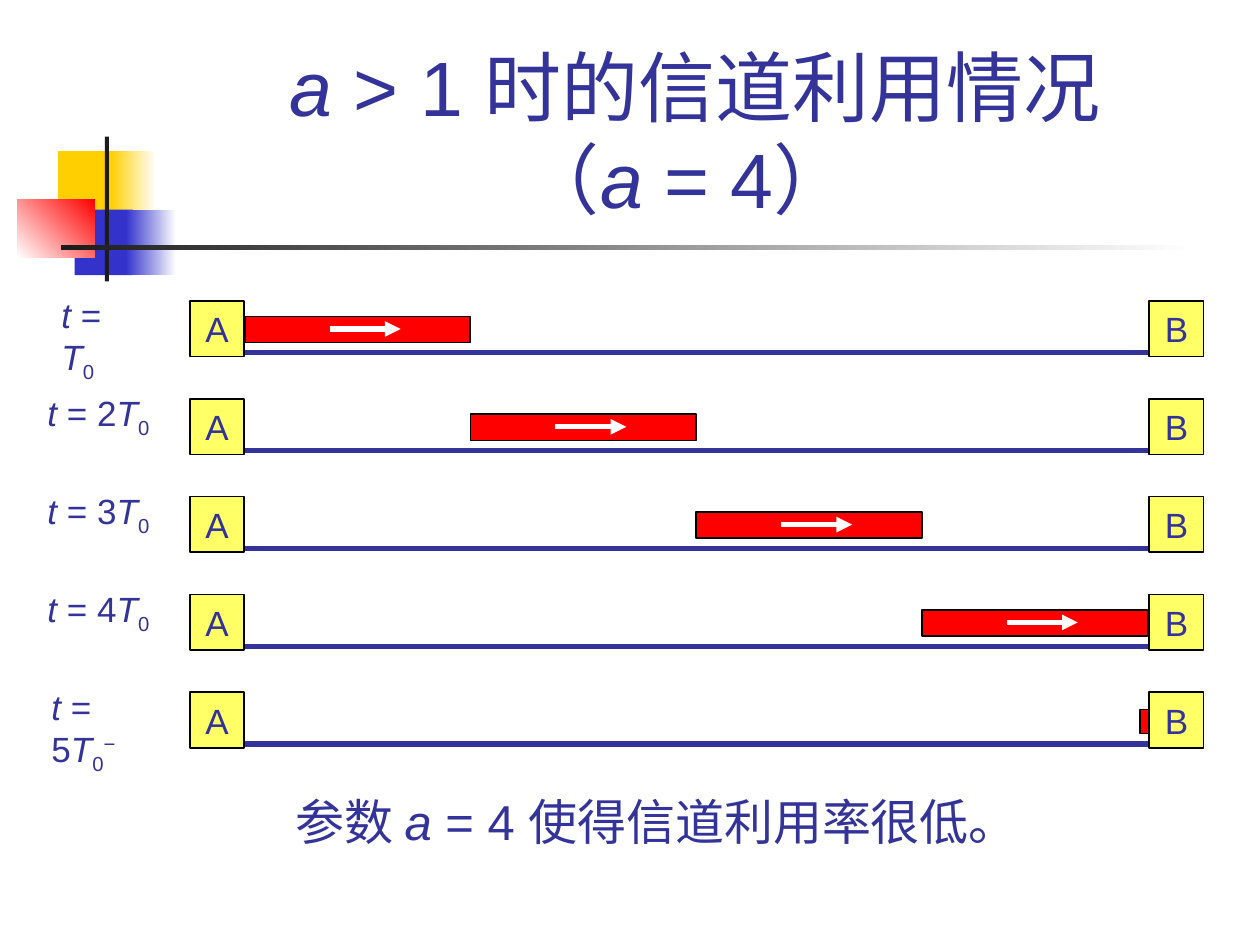
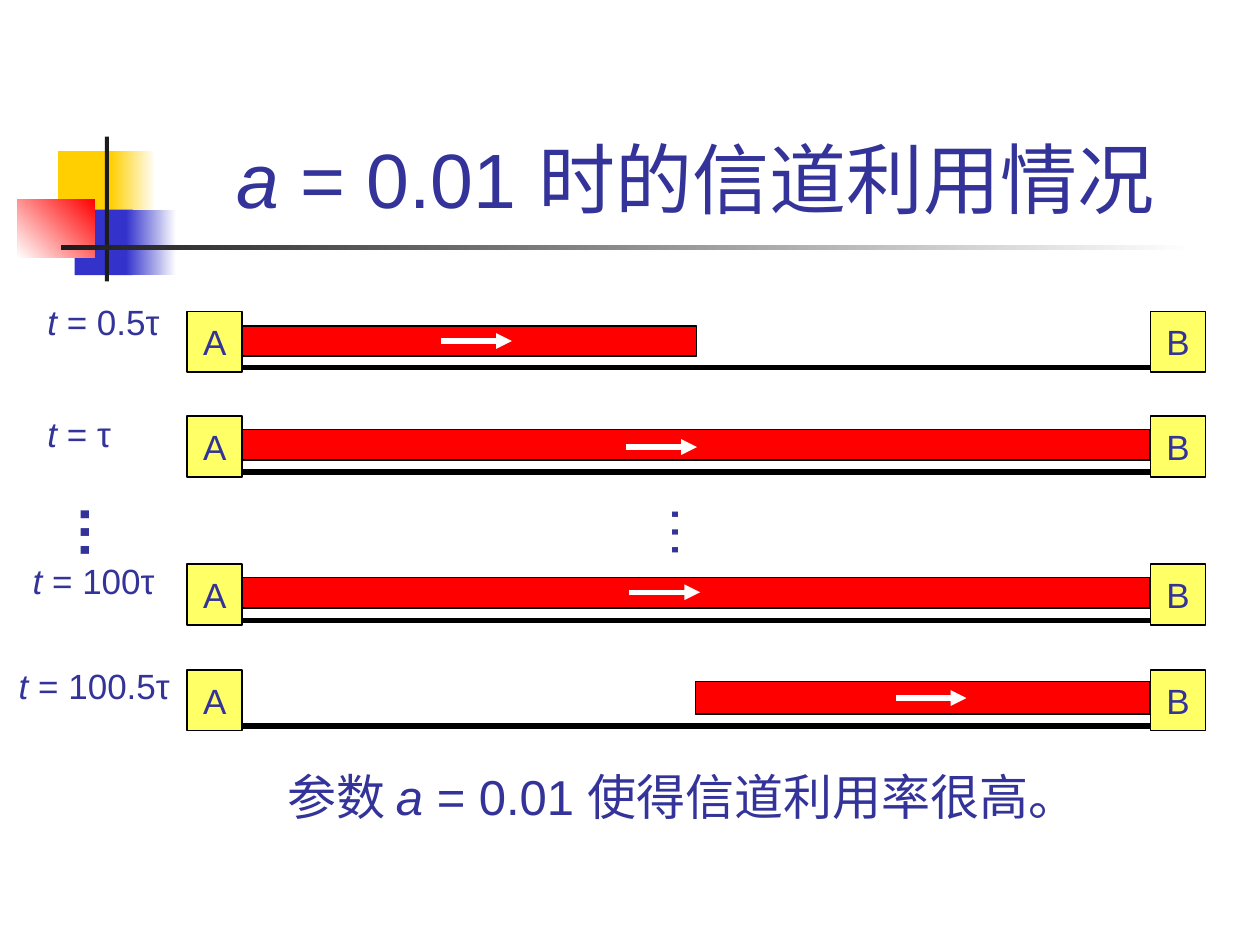
from collections import namedtuple

from pptx import Presentation
from pptx.dml.color import RGBColor
from pptx.enum.shapes import MSO_CONNECTOR as Connector, MSO_SHAPE as Preset
from pptx.enum.text import MSO_ANCHOR as Anchor, MSO_AUTO_SIZE as AutoSize, PP_ALIGN as Align
from pptx.oxml.ns import qn
from pptx.util import Pt
from lxml.etree import SubElement

INDIGO = RGBColor(0x33, 0x33, 0x99)
BLUE = RGBColor(0x33, 0x33, 0xCC)
GOLD = RGBColor(0xFF, 0xCF, 0x01)
YELLOW = RGBColor(0xFF, 0xFF, 0x66)
RED = RGBColor(0xFF, 0x00, 0x00)
CHARCOAL = RGBColor(0x1C, 0x1C, 0x1C)
BLACK = RGBColor(0x00, 0x00, 0x00)
WHITE = RGBColor(0xFF, 0xFF, 0xFF)

FONT = "Arial"
TITLE_SIZE, CAPTION_SIZE, LABEL_SIZE, DOTS_SIZE = 44, 28, 20, 32
ITALIC, SUB, SUPER = "italic", "-25000", "30000"
ARROW_LENGTH = 40.5

Track = namedtuple("Track", "left right width height wire_drop wire_colour")
SLOW_TRACK = Track(108.6, 656.8, 31, 31.8, 29.6, INDIGO)
FAST_TRACK = Track(107, 657.4, 31.5, 34.6, 32, BLACK)


class Painter:
    def __init__(self):
        self.deck = Presentation()
        self.deck.slide_width, self.deck.slide_height = Pt(720), Pt(540)
        self.layout = self.deck.slide_layouts[5]
        self.slide = None

    def new_slide(self, title):
        self.slide = self.deck.slides.add_slide(self.layout)
        box = self.slide.shapes.title
        box.left, box.top, box.width, box.height = Pt(90.7), Pt(16.6), Pt(613.4), Pt(115.2)
        frame = box.text_frame
        frame.auto_size = AutoSize.NONE
        frame.vertical_anchor = Anchor.BOTTOM
        self.set_spans(frame, title, TITLE_SIZE, Align.CENTER)

    def set_spans(self, frame, spans, size, align=Align.LEFT, bold=False):
        para = frame.paragraphs[0]
        para.alignment = align
        for text, style in spans:
            if text == "\n":
                para.add_line_break()
                continue
            span = para.add_run()
            span.text = text
            font = span.font
            font.name, font.size, font.bold = FONT, Pt(size), bold
            font.italic = style == ITALIC
            font.color.rgb = INDIGO
            if style in (SUB, SUPER):
                span._r.get_or_add_rPr().set("baseline", style)

    def text(self, left, top, width, height, spans, size, wrap=False, bold=False, rotation=0):
        box = self.slide.shapes.add_textbox(Pt(left), Pt(top), Pt(width), Pt(height))
        box.rotation = rotation
        box.text_frame.word_wrap = wrap
        self.set_spans(box.text_frame, spans, size, bold=bold)

    def block(self, left, top, width, height, colour, outline=None, fade=None, angle=180):
        box = self.slide.shapes.add_shape(
            Preset.RECTANGLE, Pt(left), Pt(top), Pt(width), Pt(height))
        box.shadow.inherit = False
        if fade is None:
            box.fill.solid()
            box.fill.fore_color.rgb = colour
        else:
            box.fill.gradient()
            box.fill.gradient_angle = angle
            for stop, stop_colour in zip(box.fill.gradient_stops, (colour, fade)):
                stop.color.rgb = stop_colour
        if outline is None:
            box.line.fill.background()
        else:
            box.line.color.rgb = outline
            box.line.width = Pt(1)
        return box

    def node(self, left, top, track, letter):
        box = self.block(left, top, track.width, track.height, YELLOW, BLACK)
        frame = box.text_frame
        frame.word_wrap = False
        frame.vertical_anchor = Anchor.MIDDLE
        self.set_spans(frame, [(letter, None)], LABEL_SIZE, Align.CENTER)

    def line(self, start, end, y, colour, arrow=False):
        wire = self.slide.shapes.add_connector(
            Connector.STRAIGHT, Pt(start), Pt(y), Pt(end), Pt(y))
        wire.line.color.rgb = colour
        wire.line.width = Pt(3)
        properties = wire.element.spPr
        if arrow:
            SubElement(properties.get_or_add_ln(), qn("a:tailEnd"), type="triangle")
        SubElement(properties, qn("a:effectLst"))

    def row(self, top, track, bar, arrow=None):
        left, drop, width, height = bar
        self.block(left, top + drop, width, height, RED, BLACK)
        self.line(track.left + 27, track.right + 10, top + track.wire_drop, track.wire_colour)
        self.node(track.left, top, track, "A")
        self.node(track.right, top, track, "B")
        if arrow is not None:
            start, arrow_drop = arrow
            self.line(start, start + ARROW_LENGTH, top + arrow_drop, WHITE, arrow=True)

    def caption(self, left, top, width, value, verdict):
        spans = [("参数 ", None), ("a", ITALIC), (f" = {value} 使得信道利用率很{verdict}。", None)]
        self.text(left, top, width, 41, spans, CAPTION_SIZE)

    def decorate_layout(self):
        bands = [
            self.block(33.2, 86.4, 34.6, 37.4, GOLD),
            self.block(63.2, 86.4, 25.9, 37.4, WHITE, fade=GOLD),
            self.block(42.6, 119.8, 33.2, 37.4, BLUE),
            self.block(72, 119.8, 28.8, 37.4, WHITE, fade=BLUE),
            self.block(10, 113.8, 44.2, 33.4, RED, fade=WHITE, angle=225),
            self.block(59.9, 78, 2.4, 82.8, CHARCOAL),
            self.block(34.8, 140.2, 648, 2.5, WHITE, fade=CHARCOAL),
        ]
        tree = self.layout.element.cSld.spTree
        for number, band in enumerate(bands, start=20):
            band.element.nvSpPr.cNvPr.set("id", str(number))
            tree.append(band.element)


def draw_long_delay(painter):
    labels = [(28, 61, "", ""), (20, 73, "2", ""), (20, 73, "3", ""),
              (20, 73, "4", ""), (22.3, 76.3, "5", "−")]
    for index, (label_left, label_width, count, limit) in enumerate(labels):
        top = 172 + 55.9 * index
        if limit:
            bar, arrow = (651.6, 9.9, 10, 13.7), None
        else:
            bar_left = 139.8 + 129 * index
            bar, arrow = (bar_left, 8.8, 129, 15), (bar_left + 48.6, 16)
        painter.row(top, SLOW_TRACK, bar, arrow)
        spans = [("t", ITALIC), (f" = {count}", None), ("T", ITALIC), ("0", SUB)]
        if limit:
            spans.append((limit, SUPER))
        painter.text(label_left, top - 7.6, label_width, 34.6, spans, LABEL_SIZE, wrap=bool(limit))
    painter.caption(162, 448.6, 446.4, "4", "低")


def draw_short_delay(painter):
    rows = [
        (178, (137.5, 8.3, 260.6, 17.3), (252, 16.9), (20, 168, 79.2, "0.5τ")),
        (237.8, (136.1, 7.7, 521.3, 17.3), (357.8, 17.7), (20, 232, 51, "τ")),
        (322.4, (136.1, 7.6, 521.3, 17.3), (359.6, 16), (11.6, 316, 85, "100τ")),
        (382.9, (397.4, 6.6, 260, 18.7), (511.8, 16), (3.6, 376.4, 101.5, "100.5τ")),
    ]
    for top, bar, arrow, (left, label_top, width, time) in rows:
        painter.row(top, FAST_TRACK, bar, arrow)
        spans = [("t", ITALIC), (f" = {time}", None)]
        painter.text(left, label_top, width, 31.7, spans, LABEL_SIZE)
    for left, bold in ((15.8, True), (352, False)):
        painter.text(left, 281.5, 46, 46, [("…", None)], DOTS_SIZE, bold=bold, rotation=270)
    painter.caption(157, 434.2, 485.3, "0.01", "高")


def main():
    painter = Painter()
    painter.new_slide([("a ", ITALIC), ("> 1 时的信道利用情况", None), ("\n", None),
                       ("（", None), ("a", ITALIC), (" = 4） ", None)])
    painter.decorate_layout()
    draw_long_delay(painter)
    painter.new_slide([("a ", ITALIC), ("= 0.01 时的信道利用情况", None)])
    draw_short_delay(painter)
    painter.deck.save("out.pptx")


if __name__ == "__main__":
    main()
